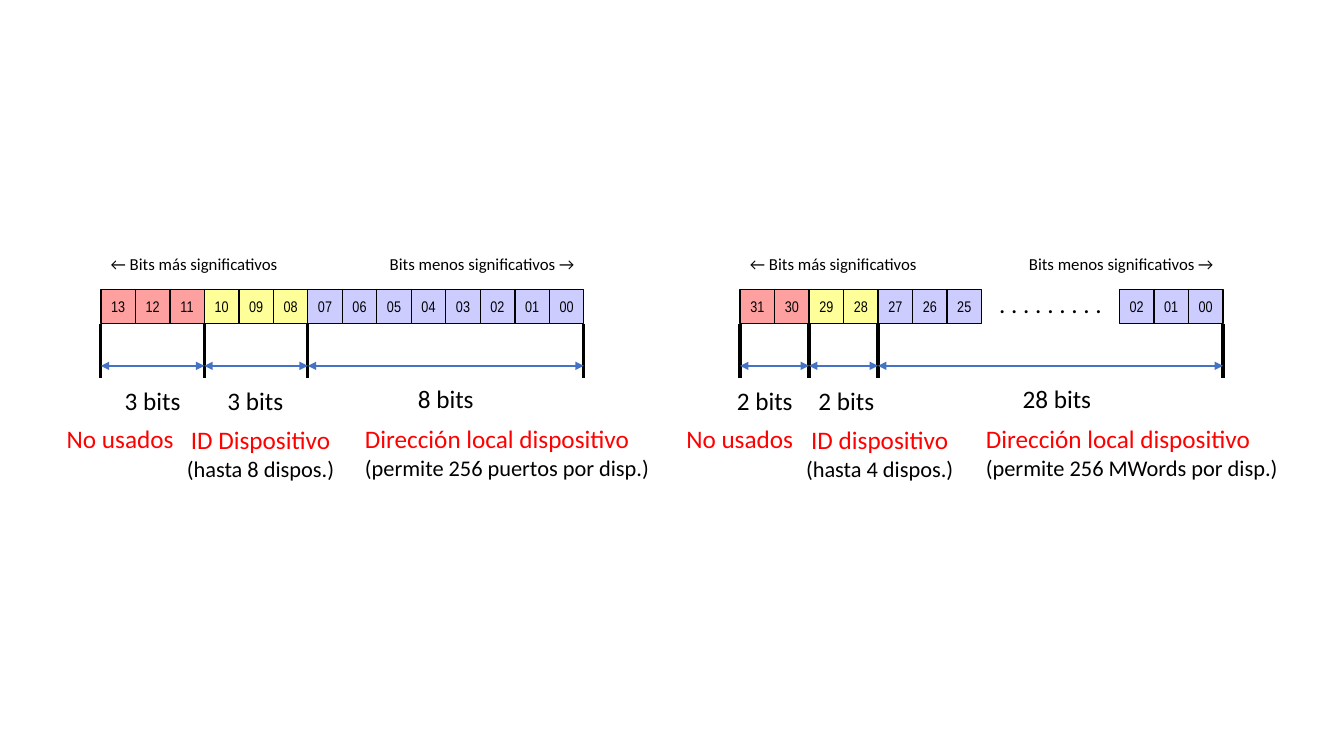
from dataclasses import dataclass
from lxml import etree
from pptx import Presentation
from pptx.dml.color import RGBColor
from pptx.enum.shapes import MSO_CONNECTOR, MSO_SHAPE
from pptx.enum.text import MSO_ANCHOR, PP_ALIGN
from pptx.oxml.ns import qn
from pptx.util import Emu, Inches, Pt

LEFT, MID, RIGHT = PP_ALIGN.LEFT, PP_ALIGN.CENTER, PP_ALIGN.RIGHT
CENTRE = MSO_ANCHOR.MIDDLE
RECT = MSO_SHAPE.RECTANGLE
LINE = MSO_CONNECTOR.STRAIGHT

COLS = 14
CELL = Inches(4.79) / COLS
TOP = Inches(2.87)
TICK = 2.57
SPAN = 2.22
BLACK, RED, BLUE = "000000", "FF0000", "4472C4"
PINK, YELLOW, LILAC = "FFA0A0", "FFFF99", "CCCCFF"


@dataclass(frozen=True)
class Line:
    text: str
    size: int
    tone: str = BLACK


@dataclass(frozen=True)
class Label:
    col: float
    row: float
    wide: float
    high: float
    lines: tuple[Line, ...]
    align: PP_ALIGN = MID


@dataclass(frozen=True)
class Field:
    count: int
    fill: str


@dataclass(frozen=True)
class Word:
    left: float
    high: int
    gap: range
    fields: tuple[Field, ...]
    labels: tuple[Label, ...]


def bits(count: int, col: float, row: float, wide: float) -> Label:
    return Label(col, row, wide, 1.17, (Line(f"{count} bits", 18),))


def unused(col: float) -> Label:
    return Label(col, 3.74, 3.9, 1.17, (Line("No usados", 18, RED),))


def device(col: float, name: str, note: str) -> Label:
    return Label(col, 3.77, 8.8, 1.96, (Line(name, 18, RED), Line(note, 16)))


def local(col: float, note: str) -> Label:
    head = Line("Dirección local dispositivo", 18, RED)
    return Label(col, 3.74, 9.65, 1.96, (head, Line(note, 16)), LEFT)


ENDS = (
    Label(7.67, -1.17, 6.35, 0.88, (Line("Bits menos significativos →", 12),), RIGHT),
    Label(0, -1.17, 8, 0.88, (Line("← Bits más significativos", 12),), LEFT),
)

WORDS = (
    Word(1, 13, range(0), (Field(3, PINK), Field(3, YELLOW), Field(8, LILAC)), (
        bits(3, 0, 2.63, 3),
        bits(3, 2.98, 2.63, 3),
        bits(8, 6, 2.57, 8),
        unused(-1.39),
        device(0.23, "ID Dispositivo", "(hasta 8 dispos.)"),
        local(7.37, "(permite 256 puertos por disp.)"),
    )),
    Word(7.34, 31, range(7, 11), (Field(2, PINK), Field(2, YELLOW), Field(10, LILAC)), (
        bits(2, -0.44, 2.63, 2.31),
        bits(2, 1.81, 2.63, 2.54),
        bits(28, 4.36, 2.57, 9.65),
        unused(-1.96),
        device(-0.35, "ID dispositivo", "(hasta 4 dispos.)"),
        local(6.84, "(permite 256 MWords por disp.)"),
        Label(7, -0.18, 4, 1.17, (Line(". . . . . . . . .", 18),)),
    )),
)


def paint(code: str) -> RGBColor:
    return RGBColor.from_string(code)


def place(word: Word, col: float, row: float) -> tuple[Emu, Emu]:
    return Emu(round(Inches(word.left) + col * CELL)), Emu(round(TOP + row * CELL))


def size(cells: float) -> Emu:
    return Emu(round(cells * CELL))


def box(word: Word, col: int, fill: str) -> None:
    shape = slide.shapes.add_shape(RECT, *place(word, col, 0), size(1), size(1))
    shape.shadow.inherit = False
    shape.fill.solid()
    shape.fill.fore_color.rgb = paint(fill)
    shape.line.color.rgb = paint(BLACK)
    shape.line.width = Pt(1)
    frame = shape.text_frame
    frame.margin_left = frame.margin_right = frame.margin_top = frame.margin_bottom = 0
    frame.vertical_anchor = CENTRE
    para = frame.paragraphs[0]
    bit = COLS - 1 - col if col >= word.gap.stop > 0 else word.high - col
    para.text = f"{bit:02d}"
    para.alignment = MID
    para.font.name = "Arial Narrow"
    para.font.size = Pt(11)
    para.font.color.rgb = paint(BLACK)


def stroke(word: Word, start: tuple[float, float], end: tuple[float, float],
           tone: str, width: float, heads: bool = False) -> None:
    line = slide.shapes.add_connector(LINE, *place(word, *start), *place(word, *end))
    line.line.color.rgb = paint(tone)
    line.line.width = Pt(width)
    if heads:
        for tag in ("a:headEnd", "a:tailEnd"):
            etree.SubElement(line.line._get_or_add_ln(), qn(tag), type="triangle")
    etree.SubElement(line._element.spPr, qn("a:effectLst"))


def write(word: Word, label: Label) -> None:
    shape = slide.shapes.add_textbox(
        *place(word, label.col, label.row), size(label.wide), size(label.high))
    frame = shape.text_frame
    frame.word_wrap = True
    frame.vertical_anchor = CENTRE
    para = frame.paragraphs[0]
    para.alignment = label.align
    para.font.name = "Calibri"
    if len(label.lines) == 1:
        line = label.lines[0]
        para.text = line.text
        para.font.size = Pt(line.size)
        para.font.color.rgb = paint(line.tone)
        return
    for index, line in enumerate(label.lines):
        if index:
            para.add_line_break()
        run = para.add_run()
        run.text = line.text
        run.font.size = Pt(line.size)
        run.font.color.rgb = paint(line.tone)


def draw(word: Word) -> None:
    start = 0
    for field in word.fields:
        end = start + field.count
        for col in range(start, end):
            if col not in word.gap:
                box(word, col, field.fill)
        start = end
    start = 0
    stroke(word, (0, 1), (0, TICK), BLACK, 2.25)
    for field in word.fields:
        end = start + field.count
        stroke(word, (end, 1), (end, TICK), BLACK, 2.25)
        stroke(word, (start, SPAN), (end, SPAN), BLUE, 1, True)
        start = end
    for label in ENDS + word.labels:
        write(word, label)


deck = Presentation()
deck.slide_width, deck.slide_height = Inches(13.33), Inches(7.5)
slide = deck.slides.add_slide(deck.slide_layouts[6])
for word in WORDS:
    draw(word)
deck.save("out.pptx")
